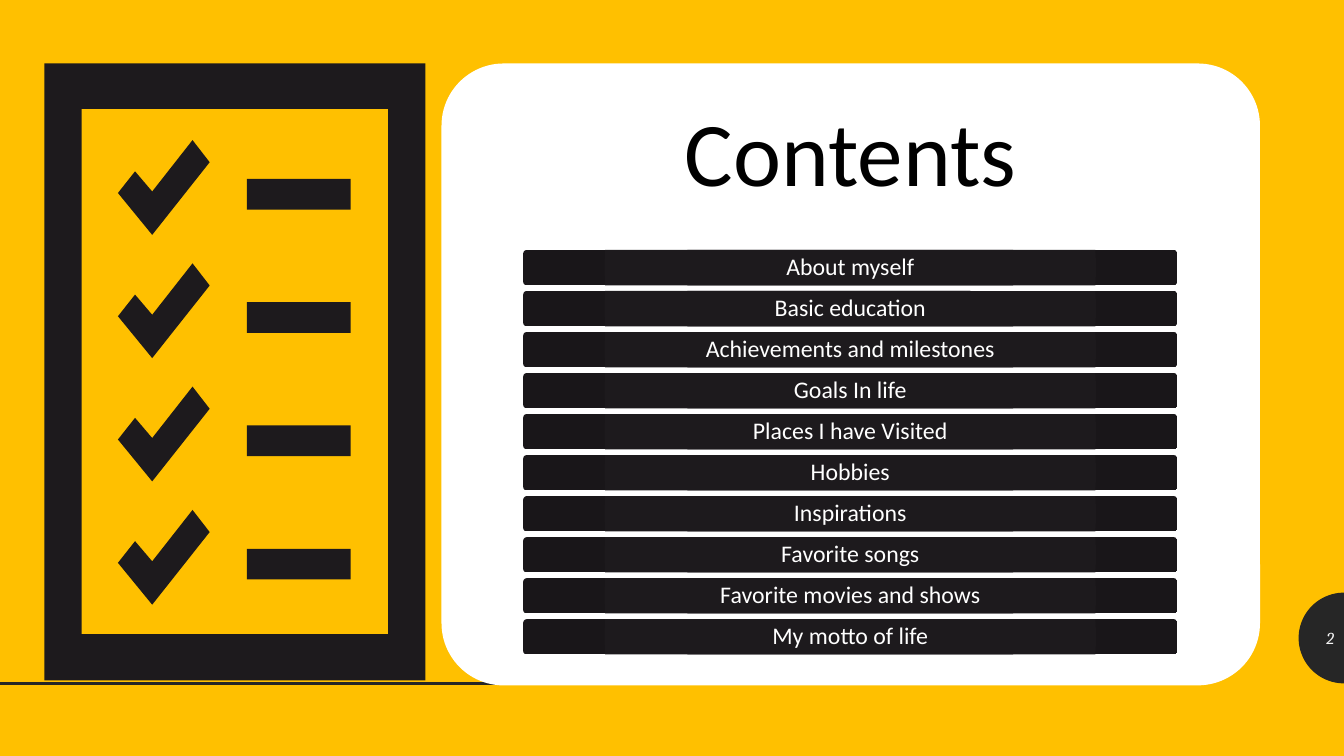
from math import cos, pi, sin

from lxml.etree import SubElement
from pptx import Presentation
from pptx.dml.color import RGBColor
from pptx.enum.shapes import MSO_CONNECTOR, MSO_SHAPE
from pptx.enum.text import MSO_ANCHOR, PP_ALIGN
from pptx.oxml import parse_xml
from pptx.oxml.ns import nsdecls, qn
from pptx.util import Inches, Pt

COLORS = {
    "yellow": "FFC000",
    "badge": "262626",
    "ink": "1D1A1D",
    "white": "FFFFFF",
    "black": "000000",
    "number": "F5F5F5",
}
BAR_STOPS = [(0, "1E1A1E"), (50, "1D1A1D"), (100, "191619")]
TOPICS = [
    "About myself", "Basic education", "Achievements and milestones",
    "Goals In life", "Places I have Visited", "Hobbies", "Inspirations",
    "Favorite songs", "Favorite movies and shows", "My motto of life",
]
COLS, ROWS = 133.33, 75


def write(sp, text, size, color, font="Calibri", align=PP_ALIGN.CENTER,
          inset=(0.1, 0.05), spacing=0.9, italic=False):
    tf = sp.text_frame
    tf.word_wrap = True
    tf.vertical_anchor = MSO_ANCHOR.MIDDLE
    tf.margin_left = tf.margin_right = Inches(inset[0])
    tf.margin_top = tf.margin_bottom = Inches(inset[1])
    p = tf.paragraphs[0]
    p.alignment = align
    p.line_spacing = spacing
    r = p.add_run()
    r.text = text
    r.font.name = font
    r.font.size = Pt(size)
    r.font.italic = italic
    r.font.color.rgb = RGBColor.from_string(COLORS[color])


class Deck:
    """Hold the slide, its grid and its style."""

    def __init__(self):
        self.prs = Presentation()
        self.prs.slide_width = Inches(13.33)
        self.prs.slide_height = Inches(7.5)
        self.s = self.prs.slides.add_slide(self.prs.slide_layouts[6])
        self.paint(self.s.background.fill, "yellow")

    def x(self, col):
        return round(self.prs.slide_width * col / COLS)

    def y(self, row):
        return round(self.prs.slide_height * row / ROWS)

    def box(self, col, row, cols, rows):
        return self.x(col), self.y(row), self.x(cols), self.y(rows)

    def paint(self, fill, color):
        fill.solid()
        fill.fore_color.rgb = RGBColor.from_string(COLORS[color])

    def finish(self, sp, color):
        self.paint(sp.fill, color)
        sp.line.fill.background()
        sp.shadow.inherit = False
        return sp

    def shape(self, kind, area, color):
        return self.finish(self.s.shapes.add_shape(kind, *self.box(*area)), color)

    def rounded(self, area, color):
        sp = self.shape(MSO_SHAPE.ROUNDED_RECTANGLE, area, color)
        sp.adjustments[0] = 0.1
        return sp

    def outline(self, contours, color):
        points = [[(self.x(c), self.y(r)) for c, r in contour] for contour in contours]
        builder = self.s.shapes.build_freeform(*points[0][0])
        builder.add_line_segments(points[0][1:], close=True)
        for contour in points[1:]:
            builder.move_to(*contour[0])
            builder.add_line_segments(contour[1:], close=True)
        return self.finish(builder.convert_to_shape(), color)

    def line(self, start, end, color, width):
        sp = self.s.shapes.add_connector(
            MSO_CONNECTOR.STRAIGHT, self.x(start[0]), self.y(start[1]),
            self.x(end[0]), self.y(end[1]))
        sp.line.color.rgb = RGBColor.from_string(COLORS[color])
        sp.line.width = Pt(width)
        SubElement(sp._element.spPr, qn("a:effectLst"))

    def text(self, area, text, size, color, **fmt):
        write(self.s.shapes.add_textbox(*self.box(*area)), text, size, color, **fmt)

    def bar(self, area, text):
        sp = self.rounded(area, "ink")
        stops = "".join(f'<a:gs pos="{pos * 1000}"><a:srgbClr val="{rgb}"/></a:gs>'
                        for pos, rgb in BAR_STOPS)
        solid = sp._element.spPr.find(qn("a:solidFill"))
        solid.getparent().replace(solid, parse_xml(
            f'<a:gradFill {nsdecls("a")}><a:gsLst>{stops}</a:gsLst>'
            '<a:path path="circle"><a:fillToRect l="100000" t="100000" '
            'r="100000" b="100000"/></a:path></a:gradFill>'))
        write(sp, text, 17, "white", inset=(0.05, 0.04))

    def badge(self, center, radius, number):
        col, row = center
        angles = [pi / 2 + pi * i / 48 for i in range(49)]
        self.outline([[(col + radius * cos(a), row - radius * sin(a))
                       for a in angles]], "badge")
        self.text((col - radius, row - 2, radius, 4), number, 12, "number",
                  font="Cambria", align=PP_ALIGN.RIGHT, spacing=1, italic=True)

    def check(self, col, row):
        tick = [(7.4, 0), (3.4, 5.1), (1.7, 3.1), (0, 5.25), (3.4, 9.4), (9.1, 2.2)]
        self.outline([[(col + dc, row + dr) for dc, dr in tick]], "ink")


def rect(left, top, right, bottom):
    return [(left, top), (left, bottom), (right, bottom), (right, top)]


def main():
    d = Deck()
    d.badge((COLS, 63.3), 4.5, "2")
    d.line((0, 67.8), (49.2, 67.8), "badge", 2)

    d.rounded((43.8, 6.3, 81.2, 61.7), "white")
    d.text((43.8, 6.3, 81.2, 18.5), "Contents", 65, "black", inset=(0.27, 0.27))
    for i, topic in enumerate(TOPICS):
        d.bar((51.9, 24.8 + 4.07 * i, 64.9, 3.5), topic)

    d.outline([rect(8.1, 10.8, 38.5, 62.9), rect(4.4, 6.3, 42.2, 67.5)[::-1]], "ink")
    for i in range(4):
        row = 13.9 + 12.23 * i
        d.check(11.7, row)
        d.shape(MSO_SHAPE.RECTANGLE, (24.5, row + 3.85, 10.3, 3.05), "ink")

    d.prs.save("out.pptx")


if __name__ == "__main__":
    main()
